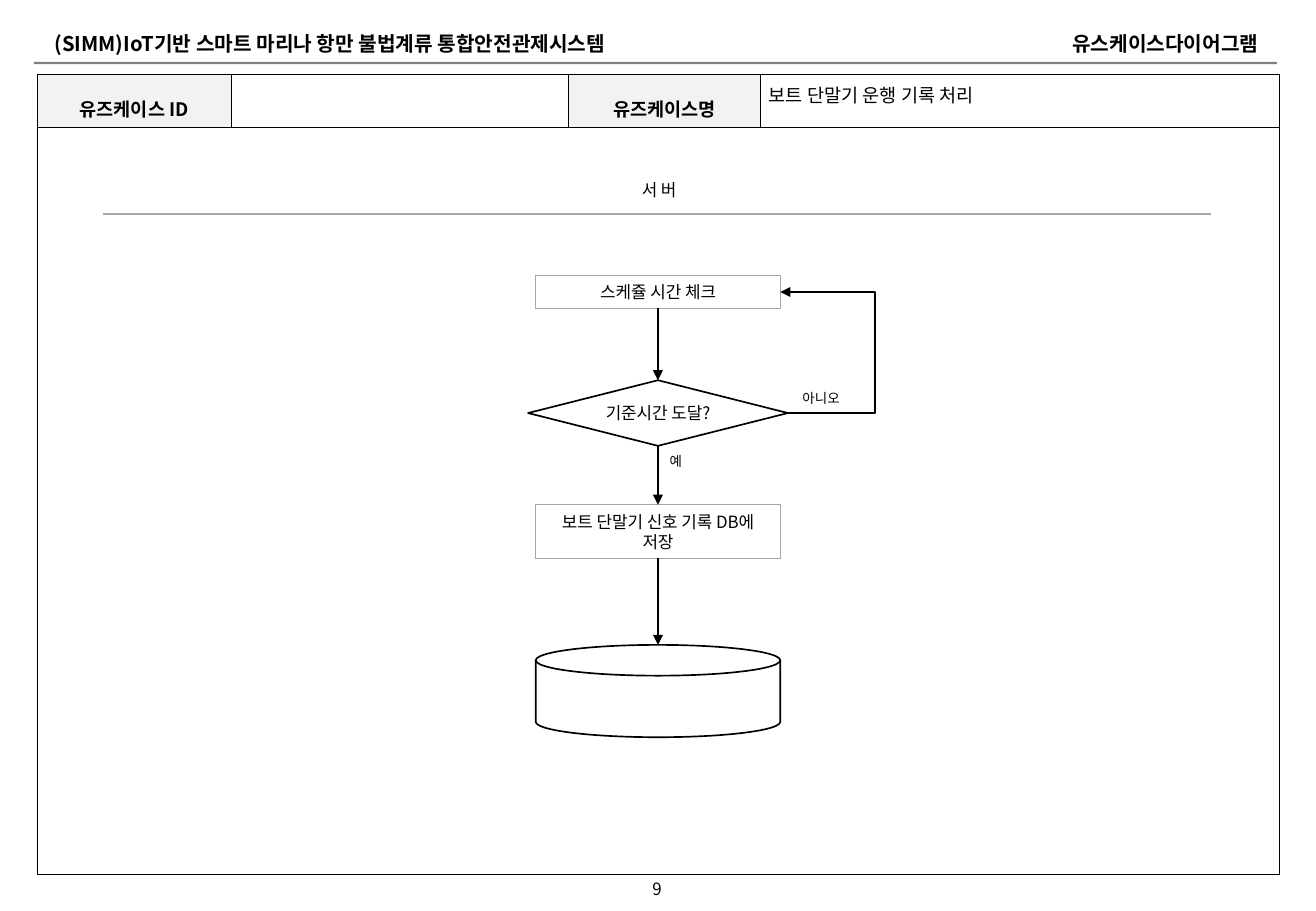
"""Build the use case slide for recording boat terminal runs."""
from lxml.etree import SubElement as Sub
from pptx import Presentation
from pptx.dml.color import RGBColor as Rgb
from pptx.enum.shapes import MSO_CONNECTOR as Link, MSO_SHAPE as Kind
from pptx.enum.text import MSO_ANCHOR as Anchor, PP_ALIGN as Align
from pptx.oxml.ns import qn
from pptx.util import Pt

BLACK = Rgb(0, 0, 0)
WHITE = Rgb(255, 255, 255)
RULE = Rgb(128, 128, 128)
GREY = Rgb(166, 166, 166)
PALE = Rgb(242, 242, 242)
FONT = "Noto Sans CJK KR"
L, C, R = Align.LEFT, Align.CENTER, Align.RIGHT

HEAD = ["유즈케이스 ID", "", "유즈케이스명", ""]
COLS = [114.5, 200.2, 113.8, 307.4]
ROWS = [27, 443]
LABELS = [
    ("(SIMM)IoT기반 스마트 마리나 항만 불법계류 통합안전관제시스템",
     (25.2, 15.1, 501.8, 21.6), L, 12, True, True),
    ("유스케이스다이어그램", (384.5, 15.1, 368.6, 21.6), R, 12, True, True),
    ("9", (375.8, 517, 27.4, 19.4), C, 10, False, False),
    ("보트 단말기 운행 기록 처리", (448.6, 46.1, 306, 20.9), L, 11, False, True),
    ("서 버", (121, 103, 539.3, 19.4), C, 10, False, True),
    ("예", (389.5, 265, 22.3, 17.3), C, 8, False, False),
    ("아니오", (467.3, 227.5, 38.9, 17.3), C, 8, False, False),
]
STEPS = {
    "check": ("스케쥴 시간 체크", Kind.RECTANGLE, 163.4, 145, 19.4, GREY, 0.75),
    "test": ("기준시간 도달?", Kind.FLOWCHART_DECISION, 225.4, 154, 38.9, BLACK, 1),
    "save": ("보트 단말기 신호 기록 DB에 저장", Kind.RECTANGLE, 299.2, 145, 31.7, GREY, 0.75),
    "store": ("", Kind.FLOWCHART_MAGNETIC_DISK, 382.3, 145, 54.7, BLACK, 1),
}
FLOW = ["check", "test", "save", "store"]
MID = 390
BEND = 518.4


def write(frame, text, size, side, bold=False):
    para = frame.paragraphs[0]
    para.alignment = side
    run = para.add_run()
    run.text = text
    for key, val in dict(name=FONT, size=Pt(size), bold=bold).items():
        setattr(run.font, key, val)
    run.font.color.rgb = BLACK
    Sub(run.font._element, qn("a:ea"), typeface=FONT)
    return para


def paint(shape, fill):
    shape.fill.solid()
    shape.fill.fore_color.rgb = fill


def label(text, box, side, size, bold, wrap):
    frame = slide.shapes.add_textbox(*map(Pt, box)).text_frame
    frame.word_wrap = wrap
    write(frame, text, size, side, bold)


def step(text, kind, top, wide, high, tone, line):
    shape = slide.shapes.add_shape(kind, *map(Pt, (MID - wide / 2, top, wide, high)))
    shape.shadow.inherit = False
    paint(shape, WHITE)
    shape.line.color.rgb = tone
    shape.line.width = Pt(line)
    if text:
        frame = shape.text_frame
        frame.word_wrap = kind == Kind.RECTANGLE
        frame.vertical_anchor = Anchor.MIDDLE
        write(frame, text, 10, C)
    return shape


def join(kind, ends, tone=BLACK, width=1, arrow=True):
    link = slide.shapes.add_connector(kind, *ends)
    link.line.color.rgb = tone
    link.line.width = Pt(width)
    if arrow:
        Sub(link.line._get_or_add_ln(), qn("a:tailEnd"), type="triangle")
    Sub(link._element.spPr, qn("a:effectLst"))
    return link


def border(cell):
    props = cell._tc.get_or_add_tcPr()
    for side in "LRTB":
        edge = Sub(props, qn(f"a:ln{side}"), w=str(Pt(0.28)))
        Sub(Sub(edge, qn("a:solidFill")), qn("a:srgbClr"), val=str(BLACK))


def grid():
    table = slide.shapes.add_table(
        2, 4, *map(Pt, (22.3, 44, sum(COLS), sum(ROWS)))).table
    table.first_row = table.horz_banding = False
    for col, wide in zip(table.columns, COLS):
        col.width = Pt(wide)
    for row, high in zip(table.rows, ROWS):
        row.height = Pt(high)
    table.cell(1, 0).merge(table.cell(1, 3))
    for cell, text in zip(table.iter_cells(), HEAD + [""] * 4):
        border(cell)
        paint(cell, PALE if text else WHITE)
        if text:
            cell.vertical_anchor = Anchor.MIDDLE
            for side in ("left", "right", "top", "bottom"):
                setattr(cell, f"margin_{side}", Pt(2.9))
            write(cell.text_frame, text, 11, C, True).line_spacing = 1.6
        else:
            Sub(cell.text_frame.paragraphs[0]._p, qn("a:endParaRPr"), sz="1000")


deck = Presentation()
deck.slide_width, deck.slide_height = Pt(780), Pt(540)
slide = deck.slides.add_slide(deck.slide_layouts[6])

bar = slide.shapes.add_shape(Kind.RECTANGLE, *map(Pt, (20.2, 36.7, 736.6, 1.4)))
bar.shadow.inherit = False
paint(bar, RULE)
bar.line.fill.background()
grid()
for item in LABELS:
    label(*item)
join(Link.STRAIGHT, map(Pt, (61.2, 126.9, 717.8, 126.9)), GREY, 1.5, False)

nodes = {name: step(*STEPS[name]) for name in FLOW}
for a, b in zip(FLOW, FLOW[1:]):
    join(Link.STRAIGHT, (Pt(MID), nodes[a].top + nodes[a].height, Pt(MID), nodes[b].top))

ends = [spot for name in ("test", "check") for spot in (
    nodes[name].left + nodes[name].width, nodes[name].top + nodes[name].height // 2)]
loop = join(Link.ELBOW, ends)
turn = round((ends[0] - Pt(BEND)) / (ends[0] - ends[2]) * 100000)
shape = loop._element.spPr.find(qn("a:prstGeom"))
Sub(shape.get_or_add_avLst(), qn("a:gd"), name="adj1", fmla=f"val {turn}")

deck.save("out.pptx")
